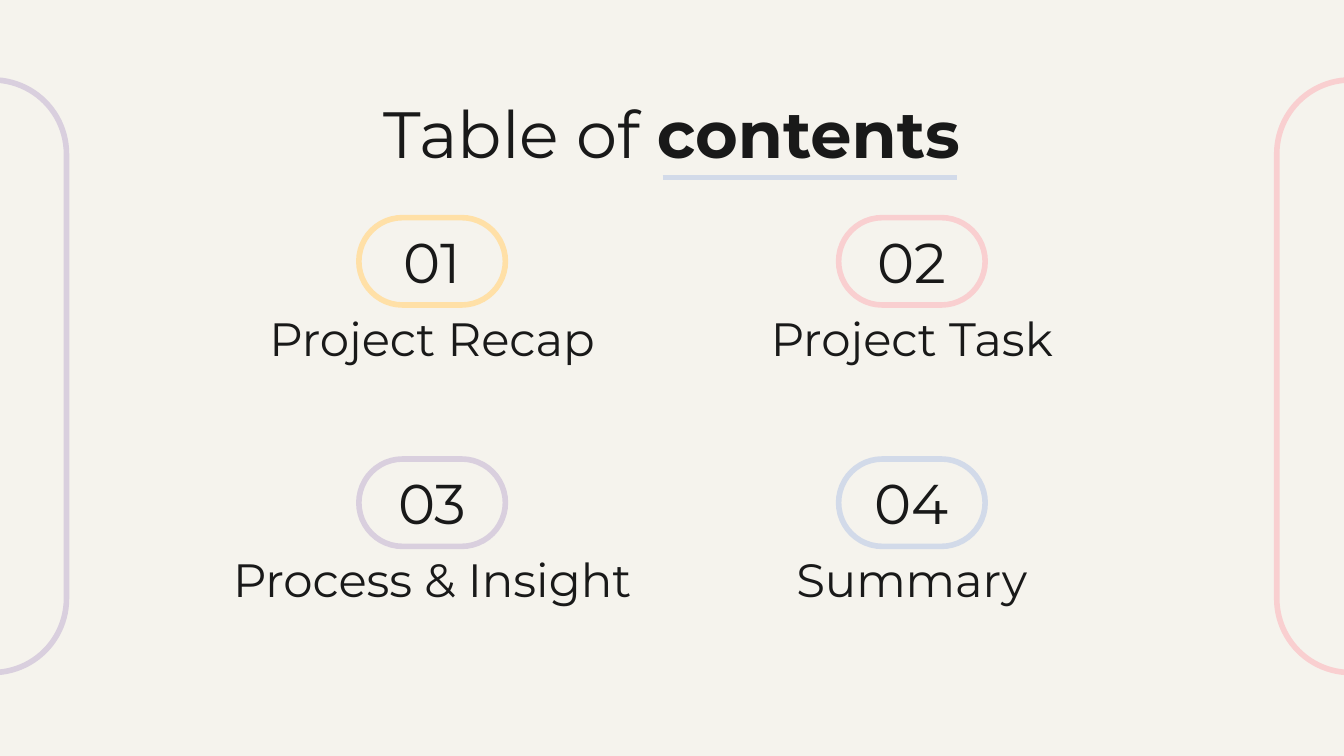
import dataclasses

import pptx
import pptx.dml.color
import pptx.enum.shapes
import pptx.enum.text
import pptx.oxml.ns
import pptx.util
from lxml import etree

Pt = pptx.util.Pt
Anchor = pptx.enum.text.MSO_ANCHOR


@dataclasses.dataclass(frozen=True)
class Theme:
    paper: str = "F5F3ED"
    ink: str = "191919"
    yellow: str = "FFE0A7"
    pink: str = "F9CFD0"
    purple: str = "D9CFDE"
    blue: str = "D2DAE9"
    font: str = "Montserrat"
    title: int = 35
    number: int = 30
    label: int = 25
    stroke: int = 3


THEME = Theme()
WIDTH, HEIGHT = 720, 405
PITCH_X, PITCH_Y = 257, 129.3


def tint(code):
    return pptx.dml.color.RGBColor.from_string(code)


def add_pill(slide, left, top, width, height, color):
    pill = slide.shapes.add_shape(
        pptx.enum.shapes.MSO_SHAPE.ROUNDED_RECTANGLE,
        Pt(left), Pt(top), Pt(width), Pt(height))
    pill.adjustments[0] = 0.5
    pill.shadow.inherit = False
    pill.fill.background()
    pill.line.color.rgb = tint(color)
    pill.line.width = Pt(THEME.stroke)


def add_text(slide, text, left, top, width, height, size, anchor=Anchor.TOP):
    box = slide.shapes.add_textbox(Pt(left), Pt(top), Pt(width), Pt(height))
    frame = box.text_frame
    frame.word_wrap = True
    frame.vertical_anchor = anchor
    frame.margin_left = frame.margin_right = Pt(7.2)
    frame.margin_top = frame.margin_bottom = Pt(7.2)
    frame.text = text
    para = frame.paragraphs[0]
    para.alignment = pptx.enum.text.PP_ALIGN.CENTER
    for run in para.runs:
        style(run, size)
    return para


def style(run, size, bold=False):
    run.font.name = THEME.font
    run.font.size = Pt(size)
    run.font.bold = bold
    run.font.color.rgb = tint(THEME.ink)


def add_rule(slide, start, end, y, color):
    rule = slide.shapes.add_connector(
        pptx.enum.shapes.MSO_CONNECTOR.STRAIGHT, Pt(start), Pt(y), Pt(end), Pt(y))
    rule.line.color.rgb = tint(color)
    rule.line.width = Pt(THEME.stroke)
    props = rule._element.spPr
    etree.SubElement(props, pptx.oxml.ns.qn("a:effectLst"))


def add_title(slide):
    para = add_text(slide, "Table of ", 57, 42.5, 606, 45.4, THEME.title)
    strong = para.add_run()
    strong.text = "contents"
    style(strong, THEME.title, bold=True)
    add_rule(slide, 355, 512.6, 95, THEME.blue)


def add_entry(slide, index, label, color):
    row, col = divmod(index, 2)
    mid = WIDTH / 2 + (col - 0.5) * PITCH_X
    top = 116.6 + row * PITCH_Y
    add_pill(slide, mid - 39.25, top, 78.5, 46.8, color)
    add_text(slide, f"{index + 1:02d}", mid - 27.7, top - 2, 55.4, 46.8, THEME.number)
    add_text(slide, label, mid - PITCH_X / 2, top + 44.8, PITCH_X, 41.8,
             THEME.label, Anchor.BOTTOM)


def main():
    deck = pptx.Presentation()
    deck.slide_width, deck.slide_height = Pt(WIDTH), Pt(HEIGHT)
    slide = deck.slides.add_slide(deck.slide_layouts[6])
    slide.background.fill.solid()
    slide.background.fill.fore_color.rgb = tint(THEME.paper)

    for left, color in ((-43.6, THEME.purple), (684, THEME.pink)):
        add_pill(slide, left, 42.8, 79.2, 317.5, color)
    add_title(slide)
    entries = (
        ("Project Recap", THEME.yellow),
        ("Project Task", THEME.pink),
        ("Process & Insight", THEME.purple),
        ("Summary", THEME.blue),
    )
    for index, (label, color) in enumerate(entries):
        add_entry(slide, index, label, color)
    deck.save("out.pptx")


if __name__ == "__main__":
    main()
